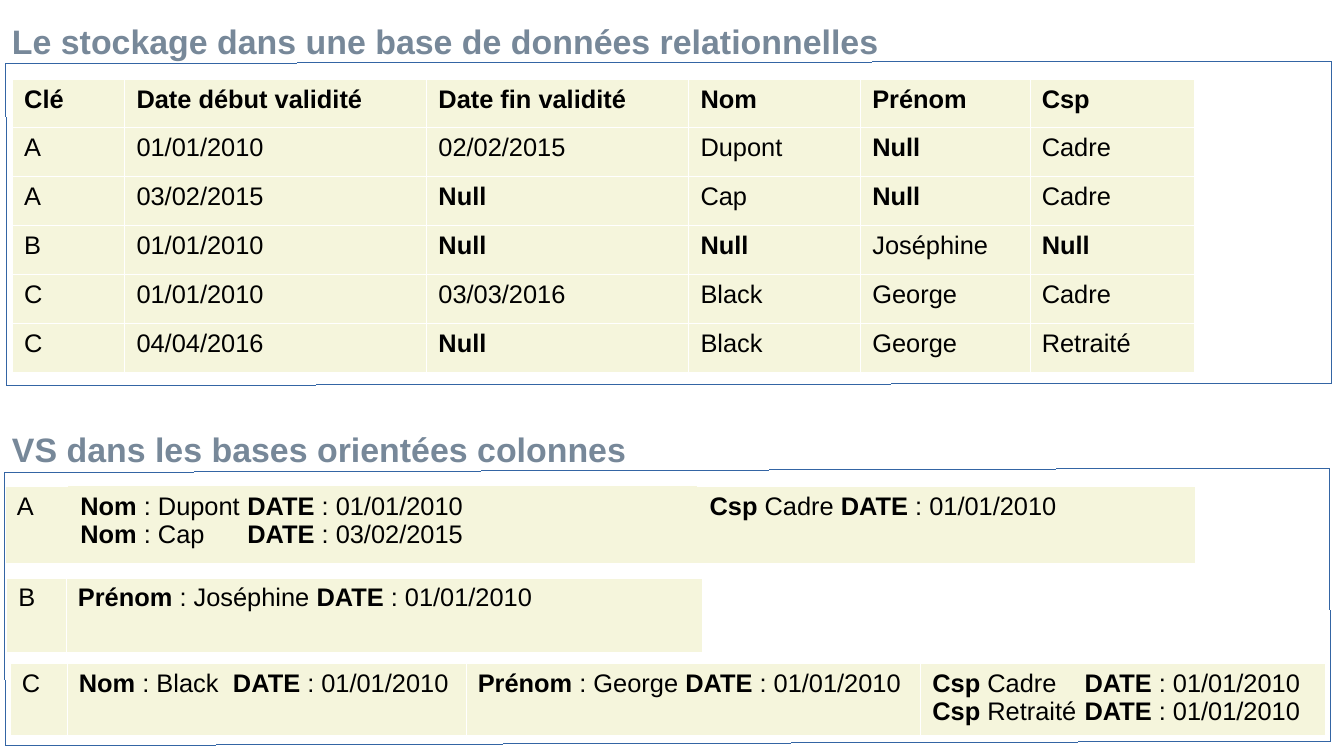
"""Slide comparing relational storage with column-oriented storage."""
from dataclasses import dataclass

from lxml.etree import SubElement as Sub
from pptx import Presentation
from pptx.dml.color import RGBColor as Rgb
from pptx.enum.shapes import MSO_SHAPE as Kind
from pptx.enum.text import MSO_AUTO_SIZE as Fit
from pptx.oxml import parse_xml
from pptx.oxml.ns import nsdecls, qn
from pptx.util import Cm, Pt

HUES = {"cell": "F5F5DC", "edge": "FFFFFF", "text": "000000",
        "title": "778899", "frame": "3465A4"}
FONT = "Arial"


@dataclass
class Title:
    text: str
    top: float
    width: float


@dataclass
class Frame:
    left: float
    top: float
    height: float
    turn: float


@dataclass
class Cell:
    lines: list[str]
    sides: str = "LRTB"
    tab: float = 0


@dataclass
class Grid:
    left: float
    top: float
    cols: list[float]
    rows: list[float]
    cells: list[list[Cell]]


TITLES = [
    Title("VS dans les bases orientées colonnes", 8.81, 13.6),
    Title("Le stockage dans une base de données relationnelles", 0.3, 19),
]
FRAMES = [Frame(0.13, 1.3, 6.71, 359.9), Frame(0.1, 9.8, 5.69, 359.8)]
HEAD = ["Clé", "Date début validité", "Date fin validité", "Nom", "Prénom", "Csp"]
DATA = [
    ["A", "01/01/2010", "02/02/2015", "Dupont", "Null", "Cadre"],
    ["A", "03/02/2015", "Null", "Cap", "Null", "Cadre"],
    ["B", "01/01/2010", "Null", "Null", "Joséphine", "Null"],
    ["C", "01/01/2010", "03/03/2016", "Black", "George", "Cadre"],
    ["C", "04/04/2016", "Null", "Black", "George", "Retraité"],
]
BOLD = {*HEAD, "Null"}
GRIDS = [
    Grid(0.25, 1.65, [2.34, 6.29, 5.46, 3.58, 3.53, 3.42], [1] + [1.02] * 5,
         [[Cell([f"*{word}*" if word in BOLD else word]) for word in row]
          for row in [HEAD, *DATA]]),
    Grid(0.2, 13.82, [1.19, 8.31, 9.47, 8.43], [1.5], [[
        Cell(["C"]),
        Cell(["*Nom *: Black\t*DATE *: 01/01/2010"], tab=3.21),
        Cell(["*Prénom *: George *DATE *: 01/01/2010"]),
        Cell(["*Csp* Cadre\t*DATE *: 01/01/2010",
              "*Csp* Retraité\t*DATE *: 01/01/2010"], tab=3.17)]]),
    Grid(0.13, 12.04, [1.24, 13.26], [1.55], [[
        Cell(["B"]),
        Cell(["*Prénom *: Joséphine *DATE *: 01/01/2010"])]]),
    Grid(0.1, 10.13, [1.32, 13.11, 10.36], [1.6], [[
        Cell(["A"], "LTB"),
        Cell(["*Nom *: Dupont\t*DATE *: 01/01/2010",
              "*Nom *: Cap\t*DATE *: 03/02/2015"], "", 3.48),
        Cell(["*Csp* Cadre *DATE *: 01/01/2010"], "RTB")]]),
]


def add_run(para, text: str, size: float, hue: str, bold: bool) -> None:
    run = para.add_run()
    run.text = text
    font = run.font
    font.name, font.size, font.bold = FONT, Pt(size), bold
    font.color.rgb = Rgb.from_string(HUES[hue])


def add_line(para, line: str, tab: float) -> None:
    if tab:
        stops = Sub(para._p.get_or_add_pPr(), qn("a:tabLst"))
        Sub(stops, qn("a:tab"), pos=str(Cm(tab)), algn="l")
    for i, part in enumerate(line.split("*")):
        if part:
            add_run(para, part, 15, "text", i % 2 == 1)


def set_edges(box, sides: str) -> None:
    props = box._tc.get_or_add_tcPr()
    for i, side in enumerate("LRTB"):
        fill = (f'<a:solidFill><a:srgbClr val="{HUES["edge"]}"/></a:solidFill>'
                if side in sides else "<a:noFill/>")
        props.insert(i, parse_xml(
            f'<a:ln{side} {nsdecls("a")} w="{Pt(0.06)}">{fill}</a:ln{side}>'))


def fill_cell(box, cell: Cell) -> None:
    box.fill.solid()
    box.fill.fore_color.rgb = Rgb.from_string(HUES["cell"])
    set_edges(box, cell.sides)
    frame = box.text_frame
    for i, line in enumerate(cell.lines):
        para = frame.add_paragraph() if i else frame.paragraphs[0]
        add_line(para, line, cell.tab)


def add_grid(slide, grid: Grid) -> None:
    table = slide.shapes.add_table(
        len(grid.rows), len(grid.cols), Cm(grid.left), Cm(grid.top),
        Cm(sum(grid.cols)), Cm(sum(grid.rows))).table
    table.first_row = table.horz_banding = False
    for col, width in zip(table.columns, grid.cols):
        col.width = Cm(width)
    for row, height, cells in zip(table.rows, grid.rows, grid.cells):
        row.height = Cm(height)
        for box, cell in zip(row.cells, cells):
            fill_cell(box, cell)


def add_frame(slide, frame: Frame) -> None:
    rect = slide.shapes.add_shape(Kind.RECTANGLE, Cm(frame.left), Cm(frame.top),
                                  Cm(27.61), Cm(frame.height))
    rect.rotation = frame.turn
    rect.shadow.inherit = False
    rect.fill.background()
    rect.line.color.rgb = Rgb.from_string(HUES["frame"])
    rect.line.width = Pt(0.01)


def add_title(slide, title: Title) -> None:
    box = slide.shapes.add_textbox(0, Cm(title.top), Cm(title.width), Cm(1.04))
    frame = box.text_frame
    frame.word_wrap = True
    frame.auto_size = Fit.SHAPE_TO_FIT_TEXT
    add_run(frame.paragraphs[0], title.text, 20, "title", True)


def main() -> None:
    deck = Presentation()
    deck.slide_width, deck.slide_height = Cm(28), Cm(15.75)
    slide = deck.slides.add_slide(deck.slide_layouts[6])
    for grid in GRIDS:
        add_grid(slide, grid)
    for frame in FRAMES:
        add_frame(slide, frame)
    for title in TITLES:
        add_title(slide, title)
    deck.save("out.pptx")


if __name__ == "__main__":
    main()
